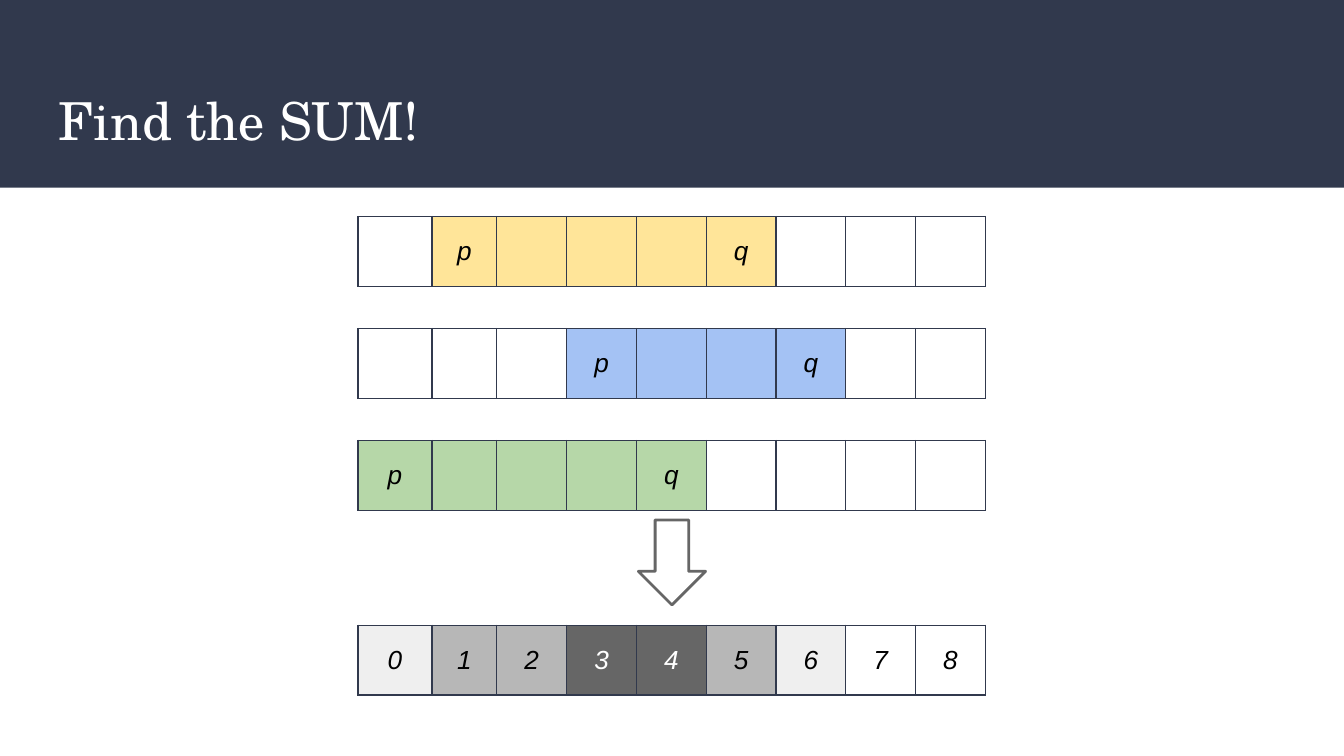
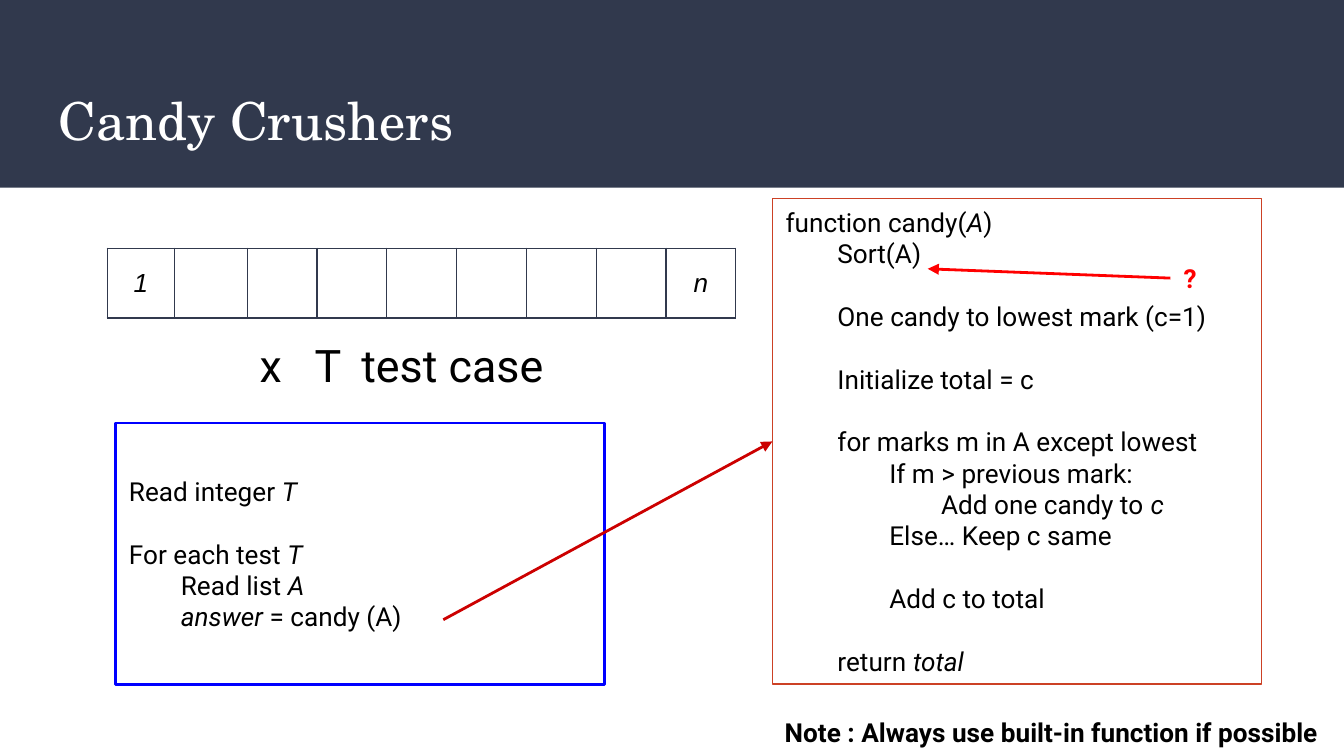
from lxml import etree
from pptx import Presentation
from pptx import util as u
from pptx.dml.color import RGBColor
from pptx.enum import shapes, text
from pptx.oxml import ns

Pt = u.Pt
COLOURS = {
    "band": "31394D", "white": "FFFFFF", "black": "000000",
    "yellow": "FFE599", "blue": "A4C2F4", "green": "B6D7A8",
    "once": "EFEFEF", "twice": "B7B7B7", "thrice": "666666",
    "main_box": "0000FF", "function_box": "CC4125",
    "call": "CC0000", "question": "FF0000",
}
SERIF, SANS, BODY = "TeX Gyre Schola", "Arial", "Roboto"
INSET = 7.2
BLANK_LINE = 16.8
CODE_INDENT = " " * 8
CELL_COUNT, CELL_WIDTH, CELL_HEIGHT = 9, 37.4, 37.4


def colour(name):
    return RGBColor.from_string(COLOURS[name])


def add_xml(parent, tag, **attributes):
    return etree.SubElement(parent, ns.qn(tag), attributes)


def style_font(paragraph, size=14, name=BODY, ink="black", bold=None, italic=None):
    font = paragraph.font
    font.size, font.name, font.bold, font.italic = Pt(size), name, bold, italic
    font.color.rgb = colour(ink)


def set_frame(frame, anchor):
    frame.word_wrap = True
    frame.vertical_anchor = anchor
    frame.margin_left = frame.margin_right = Pt(INSET)
    frame.margin_top = frame.margin_bottom = Pt(INSET)


def add_label(slide, box, words, anchor=text.MSO_ANCHOR.TOP, align=None, tabs=(), **font):
    label = slide.shapes.add_textbox(*map(Pt, box))
    set_frame(label.text_frame, anchor)
    paragraph = label.text_frame.paragraphs[0]
    paragraph.add_run().text = words
    paragraph.alignment = align
    if tabs:
        tab_list = add_xml(paragraph._p.get_or_add_pPr(), "a:tabLst")
        for position in tabs:
            add_xml(tab_list, "a:tab", pos=str(Pt(position)), algn="l")
    style_font(paragraph, **font)
    return label


def add_preset(slide, kind, box, line, width, fill=None):
    shape = slide.shapes.add_shape(kind, *map(Pt, box))
    shape.shadow.inherit = False
    if fill:
        shape.fill.solid()
        shape.fill.fore_color.rgb = colour(fill)
    else:
        shape.fill.background()
    if line:
        shape.line.color.rgb = colour(line)
        shape.line.width = Pt(width)
    else:
        shape.line.fill.background()
    return shape


def add_arrow(slide, start, end, ink):
    arrow = slide.shapes.add_connector(
        shapes.MSO_CONNECTOR.STRAIGHT, *map(Pt, start + end))
    arrow.line.color.rgb = colour(ink)
    arrow.line.width = Pt(1.5)
    add_xml(arrow.line._get_or_add_ln(), "a:tailEnd", type="triangle")
    add_xml(arrow._element.spPr, "a:effectLst")
    return arrow


def add_titled_slide(presentation, title):
    slide = presentation.slides.add_slide(presentation.slide_layouts[6])
    add_preset(slide, shapes.MSO_SHAPE.RECTANGLE, (0, 0, 720, 100.5), None, 0, "band")
    add_label(slide, (24.5, 39.5, 671, 49), title, text.MSO_ANCHOR.MIDDLE,
              size=28, name=SERIF, ink="white")
    return slide


def set_borders(cell):
    properties = cell._tc.get_or_add_tcPr()
    for index, side in enumerate(("a:lnL", "a:lnR", "a:lnT", "a:lnB")):
        line = etree.Element(ns.qn(side), w=str(Pt(0.75)))
        add_xml(add_xml(line, "a:solidFill"), "a:srgbClr", val=COLOURS["band"])
        properties.insert(index, line)


def add_array(slide, left, top, first_widths, labels, fills, inks=None):
    """Draw one row of cells; labels, fills and inks map a cell index to its value."""
    widths = list(first_widths) + [CELL_WIDTH] * (CELL_COUNT - len(first_widths))
    frame = slide.shapes.add_table(
        1, CELL_COUNT, Pt(left), Pt(top), Pt(sum(widths)), Pt(CELL_HEIGHT))
    table = frame.table
    table.first_row = table.horz_banding = False
    table.rows[0].height = Pt(CELL_HEIGHT)
    for index, width in enumerate(widths):
        table.columns[index].width = Pt(width)
        cell = table.cell(0, index)
        cell.vertical_anchor = text.MSO_ANCHOR.MIDDLE
        cell.margin_left = cell.margin_right = Pt(INSET)
        cell.margin_top = cell.margin_bottom = Pt(INSET)
        if index in fills:
            cell.fill.solid()
            cell.fill.fore_color.rgb = colour(fills[index])
        else:
            cell.fill.background()
        set_borders(cell)
        paragraph = cell.text_frame.paragraphs[0]
        if index in labels:
            paragraph.add_run().text = labels[index]
        paragraph.alignment = text.PP_ALIGN.CENTER
        style_font(paragraph, name=SANS, ink=(inks or {}).get(index, "black"), italic=True)


def add_code_box(slide, box, line, width, code):
    """Code lines are (level, words, blank line before); *stars* mark italics."""
    shape = add_preset(slide, shapes.MSO_SHAPE.RECTANGLE, box, line, width)
    frame = shape.text_frame
    set_frame(frame, text.MSO_ANCHOR.MIDDLE)
    for number, (level, words, gap) in enumerate(code):
        paragraph = frame.add_paragraph() if number else frame.paragraphs[0]
        paragraph.alignment = text.PP_ALIGN.LEFT
        if gap:
            paragraph.space_before = Pt(BLANK_LINE)
        for part, piece in enumerate((CODE_INDENT * level + words).split("*")):
            if piece:
                run = paragraph.add_run()
                run.text = piece
                if part % 2:
                    run.font.italic = True
        style_font(paragraph)
    return shape


def build_sum_slide(presentation):
    slide = add_titled_slide(presentation, "Find the SUM!")
    left, top, pitch = 191.8, 116, 60
    first_widths = (39.6, 34.8)

    # Ranges from p to q
    ranges = [(1, 5, "yellow"), (3, 6, "blue"), (0, 4, "green")]
    for row, (first, last, fill) in enumerate(ranges):
        add_array(slide, left, top + row * pitch, first_widths,
                  {first: "p", last: "q"},
                  {index: fill for index in range(first, last + 1)})

    # Arrow down to the overlap counts
    add_preset(slide, shapes.MSO_SHAPE.DOWN_ARROW, (342, 278.6, 36, 45.5), "thrice", 1.5)

    # Cells shaded by how many ranges cover them
    shades = ("once", "twice", "thrice")
    fills, inks = {}, {}
    for index in range(CELL_COUNT):
        cover = sum(first <= index <= last for first, last, _ in ranges)
        if cover:
            fills[index] = shades[cover - 1]
        if cover == len(ranges):
            inks[index] = "white"
    labels = {index: str(index) for index in range(CELL_COUNT)}
    add_array(slide, left, 335, first_widths, labels, fills, inks)


def build_candy_slide(presentation):
    slide = add_titled_slide(presentation, "Candy Crushers")

    # Input list
    add_array(slide, 57.5, 133, (36, 39), {0: "1", CELL_COUNT - 1: "n"}, {})

    # Main program and the function it calls
    add_code_box(slide, (62, 226.6, 262, 140), "main_box", 1.5, [
        (0, "Read integer *T*", False),
        (0, "For each test *T*", True),
        (1, "Read list *A*", False),
        (1, "*answer* = candy (A)", False),
    ])
    function_box = add_code_box(slide, (413.8, 106.5, 262, 260), "function_box", 0.75, [
        (0, "function candy(*A*)", False),
        (1, "Sort(A)", False),
        (1, "One candy to lowest mark (c=1)", True),
        (1, "Initialize total = c", True),
        (1, "for marks m in A except lowest", True),
        (2, "If m > previous mark:", False),
        (3, "Add one candy to *c*", False),
        (2, "Else… Keep c same", False),
        (2, "Add c to total", True),
        (1, "return *total*", True),
    ])
    call = add_arrow(slide, (237.5, 332), (413.8, 236.5), "call")
    call.end_connect(function_box, 1)

    # Notes around the code
    add_label(slide, (413.3, 382.5, 302.4, 19.5),
              "Note : Always use built-in function if possible",
              text.MSO_ANCHOR.MIDDLE, bold=True)
    add_label(slide, (132, 173.5, 194, 44), "x\tT\ttest case", tabs=(29.5, 54.5), size=24)
    question = add_label(slide, (627, 133.2, 19.5, 31.6), "?",
                         align=text.PP_ALIGN.CENTER, ink="question", bold=True)
    doubt = add_arrow(slide, (627, 149), (497, 144), "question")
    doubt.begin_connect(question, 1)


def main():
    presentation = Presentation()
    presentation.slide_width, presentation.slide_height = Pt(720), Pt(405)
    build_sum_slide(presentation)
    build_candy_slide(presentation)
    presentation.save("out.pptx")


if __name__ == "__main__":
    main()
